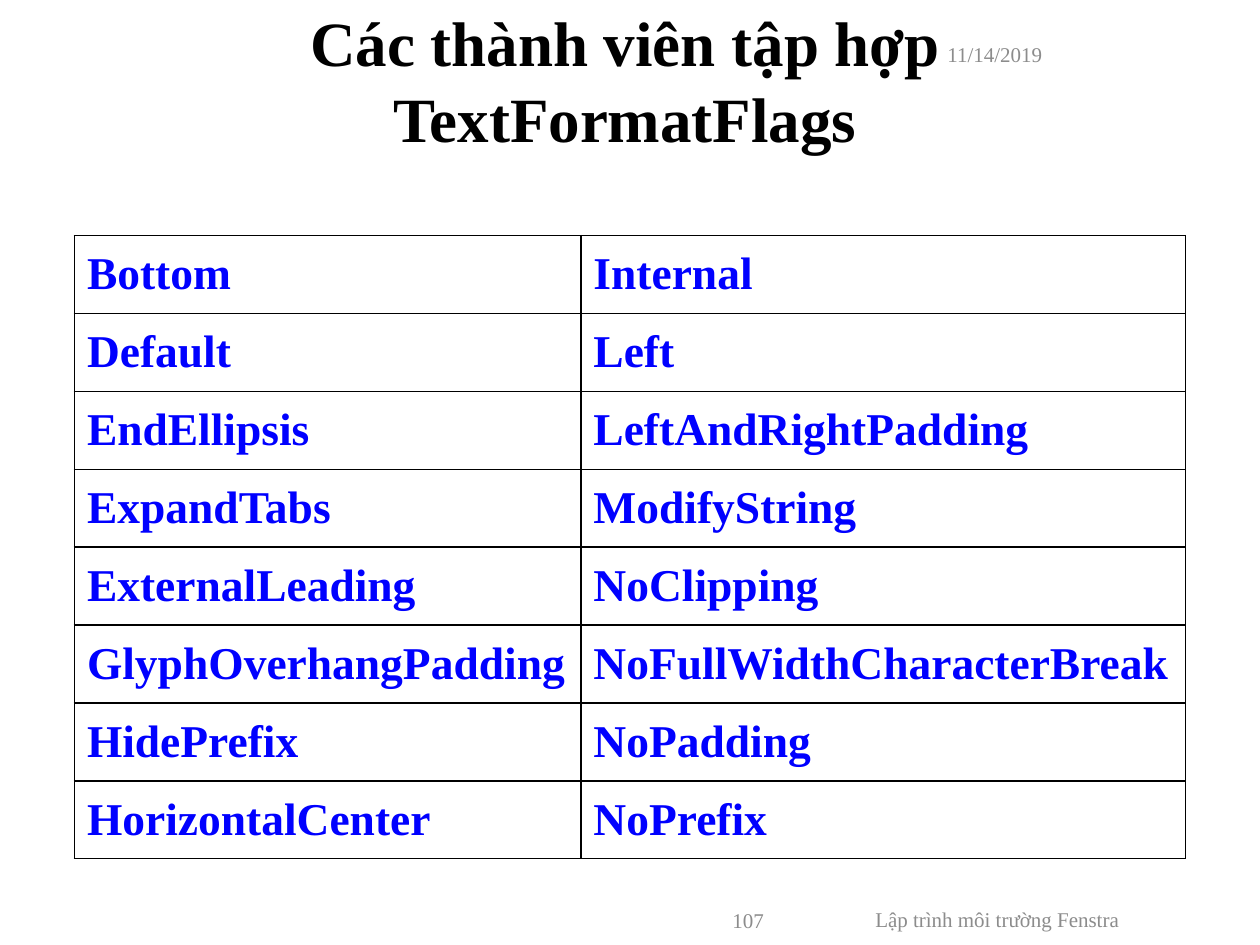
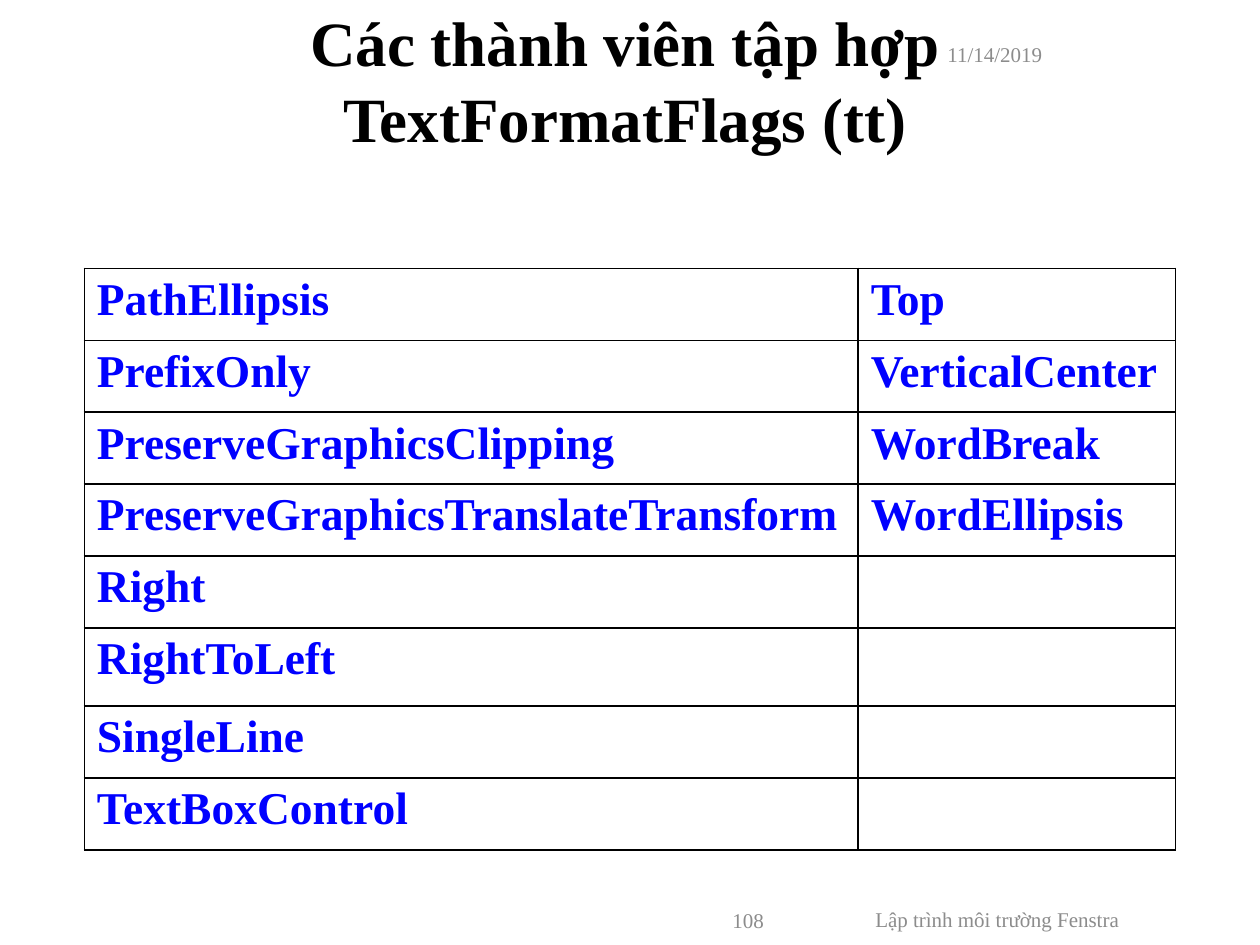
from typing import NamedTuple

from lxml.etree import SubElement
from pptx import Presentation
from pptx.dml.color import RGBColor
from pptx.enum.text import MSO_ANCHOR, MSO_AUTO_SIZE, PP_ALIGN
from pptx.oxml import parse_xml
from pptx.oxml.ns import nsdecls, qn
from pptx.slide import Slide
from pptx.table import _Cell
from pptx.text.text import TextFrame
from pptx.util import Cm, Pt

BLACK = RGBColor(0x00, 0x00, 0x00)
BLUE = RGBColor(0x00, 0x00, 0xFF)
GRAY = RGBColor(0x8C, 0x8C, 0x8C)
FONT = "Times New Roman"
TITLE = "Các thành viên tập hợp TextFormatFlags"


class Box(NamedTuple):
    left: float
    top: float
    width: float
    height: float


class Label(NamedTuple):
    box: Box
    text: str
    align: PP_ALIGN


class FlagSlide(NamedTuple):
    title: str
    number: int
    left: float
    top: float
    col_widths: tuple[float, float]
    row_heights: list[float]
    anchor: MSO_ANCHOR
    columns: tuple[list[str], list[str]]


TITLE_BOX = Box(2.34, 0.81, 20.52, 1.57)
NUMBER_BOX = Box(9.73, 18.2, 5.92, 0.7)
LABELS = [
    Label(Box(18.85, 0.75, 5.92, 0.69), "11/14/2019", PP_ALIGN.LEFT),
    Label(Box(16.08, 18.14, 8.05, 0.76), "Lập trình môi trường Fenstra", PP_ALIGN.CENTER),
]
SLIDES = [
    FlagSlide(
        TITLE, 107, 1.5, 4.75, (10.21, 12.19), [1.57] * 8, MSO_ANCHOR.MIDDLE,
        (["Bottom", "Default", "EndEllipsis", "ExpandTabs", "ExternalLeading",
          "GlyphOverhangPadding", "HidePrefix", "HorizontalCenter"],
         ["Internal", "Left", "LeftAndRightPadding", "ModifyString", "NoClipping",
          "NoFullWidthCharacterBreak", "NoPadding", "NoPrefix"]),
    ),
    FlagSlide(
        f"{TITLE} (tt)", 108, 1.7, 5.41, (15.6, 6.4),
        [1.45] * 5 + [1.57] + [1.45] * 2, MSO_ANCHOR.TOP,
        (["PathEllipsis", "PrefixOnly", "PreserveGraphicsClipping",
          "PreserveGraphicsTranslateTransform", "Right", "RightToLeft",
          "SingleLine", "TextBoxControl"],
         ["Top", "VerticalCenter", "WordBreak", "WordEllipsis"]),
    ),
]


def write(tf: TextFrame, text: str, *, size: float, color: RGBColor, bold: bool = False,
          align: PP_ALIGN = PP_ALIGN.LEFT, space_before: int = 0) -> None:
    p = tf.paragraphs[0]
    p.alignment = align
    if space_before:
        spacing = SubElement(p._p.get_or_add_pPr(), qn("a:spcBef"))
        SubElement(spacing, qn("a:spcPct")).set("val", str(space_before * 1000))
    r = p.add_run()
    r.text = text
    r.font.name = FONT
    r.font.size = Pt(size)
    r.font.bold = bold
    r.font.color.rgb = color


def add_title(s: Slide, text: str) -> None:
    sp = s.shapes.title
    sp.left, sp.top, sp.width, sp.height = map(Cm, TITLE_BOX)
    tf = sp.text_frame
    tf.auto_size = MSO_AUTO_SIZE.NONE
    tf.vertical_anchor = MSO_ANCHOR.MIDDLE
    write(tf, text, size=36, color=BLACK, bold=True, align=PP_ALIGN.CENTER)


def add_label(s: Slide, label: Label) -> None:
    tf = s.shapes.add_textbox(*map(Cm, label.box)).text_frame
    tf.word_wrap = True
    tf.vertical_anchor = MSO_ANCHOR.MIDDLE
    write(tf, label.text, size=12, color=GRAY, align=label.align)


def style_cell(cell: _Cell, anchor: MSO_ANCHOR) -> None:
    cell.vertical_anchor = anchor
    cell.fill.background()
    tc_pr = cell._tc.get_or_add_tcPr()
    for i, side in enumerate(("lnL", "lnR", "lnT", "lnB")):
        tc_pr.insert(i, parse_xml(
            f'<a:{side} {nsdecls("a")} w="{Pt(1)}"><a:solidFill>'
            f'<a:srgbClr val="{BLACK}"/></a:solidFill></a:{side}>'))


def add_flag_table(s: Slide, spec: FlagSlide) -> None:
    table = s.shapes.add_table(
        len(spec.row_heights), len(spec.col_widths), Cm(spec.left), Cm(spec.top),
        Cm(sum(spec.col_widths)), Cm(sum(spec.row_heights))).table
    table.first_row = table.horz_banding = False
    for row, height in zip(table.rows, spec.row_heights):
        row.height = Cm(height)
    for col, width in zip(table.columns, spec.col_widths):
        col.width = Cm(width)
    for cell in table.iter_cells():
        style_cell(cell, spec.anchor)
    for c, flags in enumerate(spec.columns):
        for r, flag in enumerate(flags):
            write(table.cell(r, c).text_frame, flag, size=26, color=BLUE, bold=True,
                  space_before=20)


def main() -> None:
    prs = Presentation()
    prs.slide_width, prs.slide_height = Cm(25.4), Cm(19.05)
    for flag_slide in SLIDES:
        s = prs.slides.add_slide(prs.slide_layouts[5])
        add_title(s, flag_slide.title)
        add_flag_table(s, flag_slide)
        for label in LABELS:
            add_label(s, label)
        add_label(s, Label(NUMBER_BOX, str(flag_slide.number), PP_ALIGN.RIGHT))
    prs.save("out.pptx")


if __name__ == "__main__":
    main()
